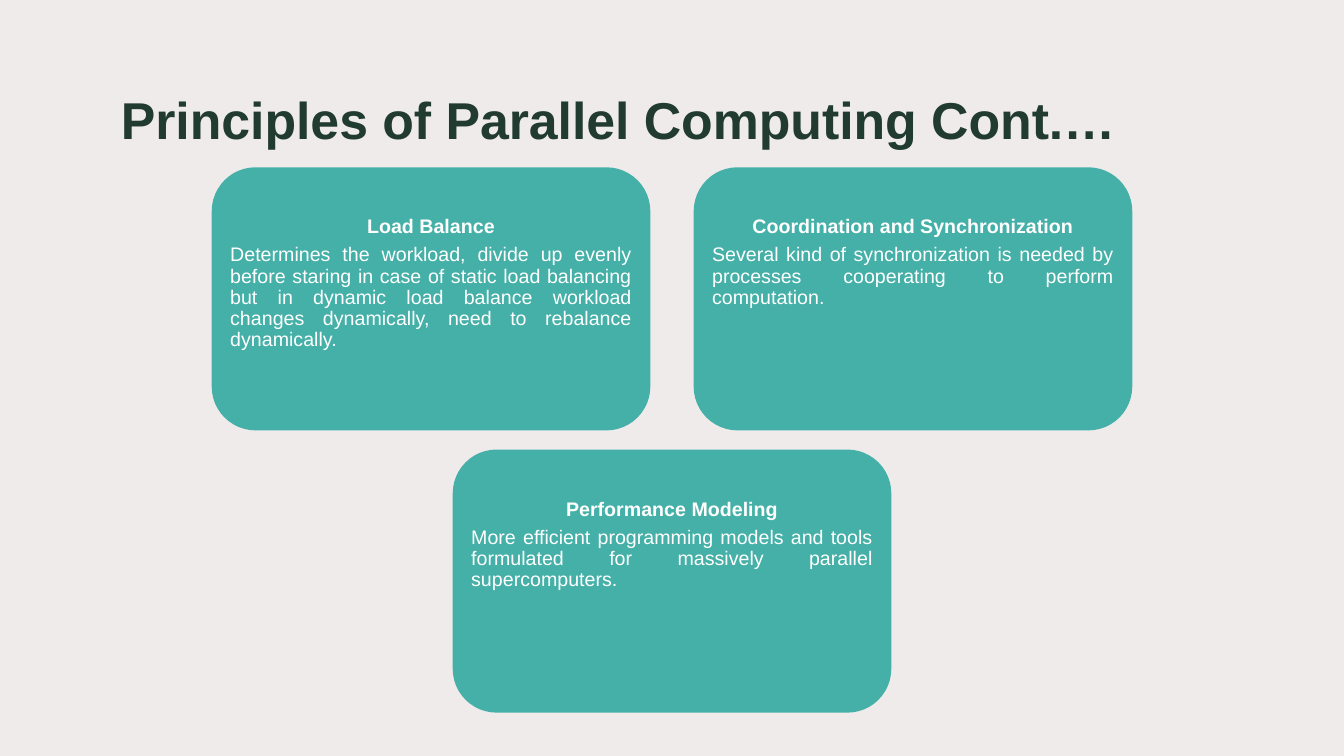
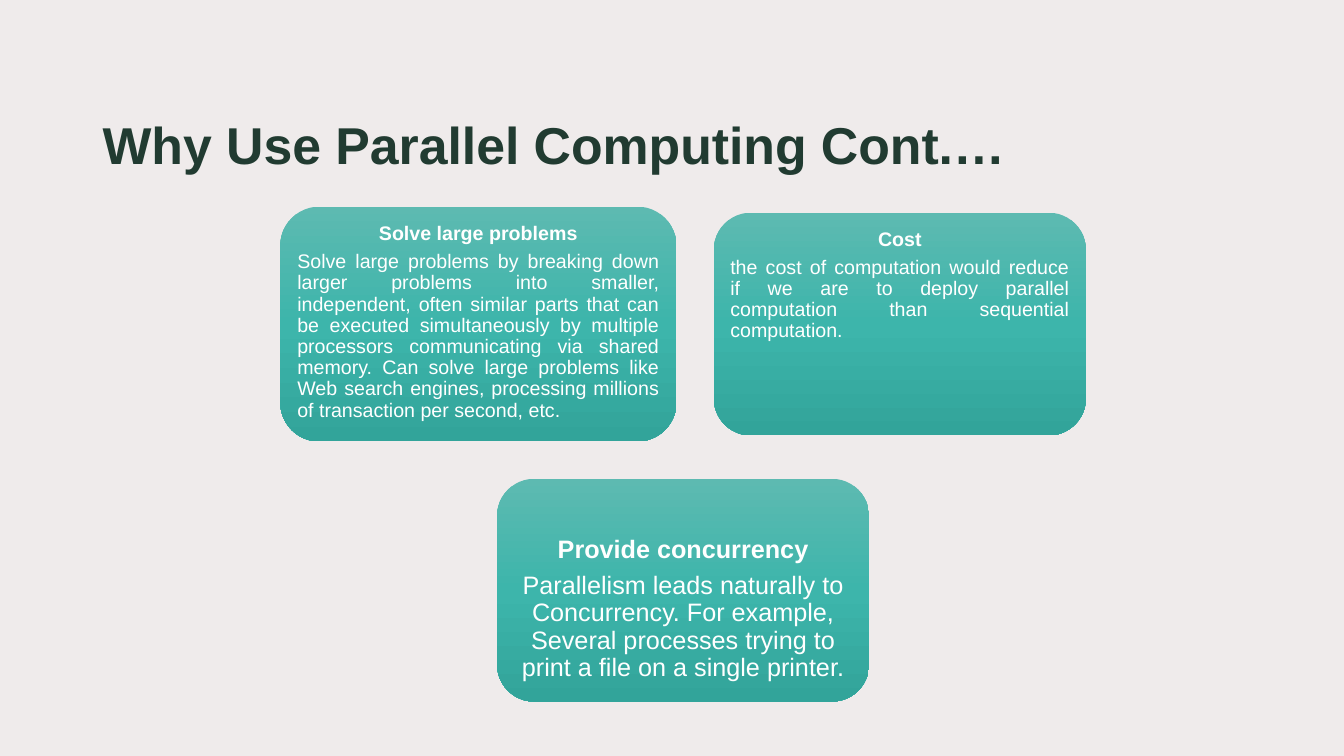
from copy import deepcopy
from dataclasses import dataclass

from pptx import Presentation
from pptx.dml.color import RGBColor
from pptx.enum.shapes import MSO_SHAPE
from pptx.enum.text import MSO_ANCHOR, PP_ALIGN
from pptx.oxml.ns import qn
from pptx.util import Inches, Pt

CARD = MSO_SHAPE.FLOWCHART_ALTERNATE_PROCESS
TOP, MIDDLE = MSO_ANCHOR.TOP, MSO_ANCHOR.MIDDLE
LEFT, CENTER, JUSTIFY = PP_ALIGN.LEFT, PP_ALIGN.CENTER, PP_ALIGN.JUSTIFY

# Shared look
FONT = "Arial"
PAPER, INK, WHITE = "EFEBEB", "213B31", "FFFFFF"
TEAL = ("44B0A7",)
FADE = ("5DBAB1", "3DB5AB", "32A49A")


@dataclass
class Card:
    x: float
    y: float
    w: float
    h: float
    head: str
    body: str
    size: int = 14
    align: PP_ALIGN = JUSTIFY
    drop: bool = False  # text starts one line lower


@dataclass
class Page:
    title: str
    box: tuple[float, float, float, float]
    fill: tuple[str, ...]
    cards: list[Card]


def color(code: str) -> RGBColor:
    return RGBColor.from_string(code)


def write(frame, text: str, *, size: int, ink: str, bold: bool = False,
          align: PP_ALIGN = LEFT, before: float = 0, first: bool = False) -> None:
    """Write one paragraph into a text frame."""
    para = frame.paragraphs[0] if first else frame.add_paragraph()
    para.alignment = align
    para.line_spacing = 0.9
    para.space_before = Pt(before)
    run = para.add_run()
    run.text = text
    run.font.name, run.font.size, run.font.bold = FONT, Pt(size), bold
    run.font.color.rgb = color(ink)


def setup(frame, anchor: MSO_ANCHOR, side: float, top: float, base: float) -> None:
    frame.word_wrap = True
    frame.vertical_anchor = anchor
    frame.margin_left = frame.margin_right = Inches(side)
    frame.margin_top, frame.margin_bottom = Inches(top), Inches(base)


def paint(shape, codes: tuple[str, ...]) -> None:
    """Fill with one colour, or with evenly spaced stops from top to bottom."""
    if len(codes) == 1:
        shape.fill.solid()
        shape.fill.fore_color.rgb = color(codes[0])
        return
    shape.fill.gradient()
    shape.fill.gradient_angle = 270
    stops = shape.fill.gradient_stops
    stops[0].color.rgb, stops[1].color.rgb = color(codes[0]), color(codes[-1])
    row = shape._element.spPr.find(".//" + qn("a:gsLst"))
    for i, code in enumerate(codes[1:-1], 1):
        stop = deepcopy(row[0])
        stop.set("pos", str(100000 * i // (len(codes) - 1)))
        stop.find(qn("a:srgbClr")).set("val", code)
        row.insert(i, stop)


def draw_card(slide, card: Card, fill: tuple[str, ...]) -> None:
    shape = slide.shapes.add_shape(
        CARD, Inches(card.x), Inches(card.y), Inches(card.w), Inches(card.h))
    shape.shadow.inherit = False
    shape.line.fill.background()
    paint(shape, fill)
    # Insets and paragraph gaps grow with the text size
    pad = card.size * 0.004
    top = pad + (card.size * 0.022 if card.drop else 0)
    frame = shape.text_frame
    setup(frame, TOP, pad, top, pad)
    write(frame, card.head, size=card.size, ink=WHITE, bold=True,
          align=CENTER, first=True)
    write(frame, card.body, size=card.size, ink=WHITE, align=card.align,
          before=card.size * 0.35)


def draw_page(deck, page: Page) -> None:
    slide = deck.slides.add_slide(deck.slide_layouts[6])
    back = slide.background.fill
    back.solid()
    back.fore_color.rgb = color(PAPER)
    box = slide.shapes.add_textbox(*(Inches(n) for n in page.box))
    setup(box.text_frame, MIDDLE, 0.1, 0.05, 0.05)
    write(box.text_frame, page.title, size=37, ink=INK, bold=True, first=True)
    for card in page.cards:
        draw_card(slide, card, page.fill)


# Two cards above, the third centred below
X, Y, W, H = 2.1, 1.66, 4.35, 2.61
STEP, DOWN = 4.78, 2.8

PAGES = [
    Page("Principles of Parallel Computing Cont.…", (1.1, 0.61, 10.08, 1.22), TEAL, [
        Card(X, Y, W, H, "Load Balance",
             "Determines the workload, divide up evenly before staring in case of "
             "static load balancing but in dynamic load balance workload changes "
             "dynamically, need to rebalance dynamically.", drop=True),
        Card(X + STEP, Y, W, H, "Coordination and Synchronization",
             "Several kind of synchronization is needed by processes cooperating "
             "to perform computation.", drop=True),
        Card(X + STEP / 2, Y + DOWN, W, H, "Performance Modeling",
             "More efficient programming models and tools formulated for massively "
             "parallel supercomputers.", drop=True),
    ]),
    Page("Why Use Parallel Computing Cont.…", (0.92, 0.61, 10.41, 1.72), FADE, [
        Card(2.78, 2.05, 3.93, 2.33, "Solve large problems",
             "Solve large problems by breaking down larger problems into smaller, "
             "independent, often similar parts that can be executed simultaneously "
             "by multiple processors communicating via shared memory. Can solve "
             "large problems like Web search engines, processing millions of "
             "transaction per second, etc."),
        Card(7.08, 2.11, 3.69, 2.21, "Cost",
             "the cost of computation would reduce if we are to deploy parallel "
             "computation than sequential computation."),
        Card(4.93, 4.75, 3.69, 2.21, "Provide concurrency",
             "Parallelism leads naturally to Concurrency. For example, Several "
             "processes trying to print a file on a single printer.",
             size=18, align=CENTER, drop=True),
    ]),
]


def main() -> None:
    deck = Presentation()
    deck.slide_width, deck.slide_height = Inches(13.33), Inches(7.5)
    for page in PAGES:
        draw_page(deck, page)
    deck.save("out.pptx")


if __name__ == "__main__":
    main()
